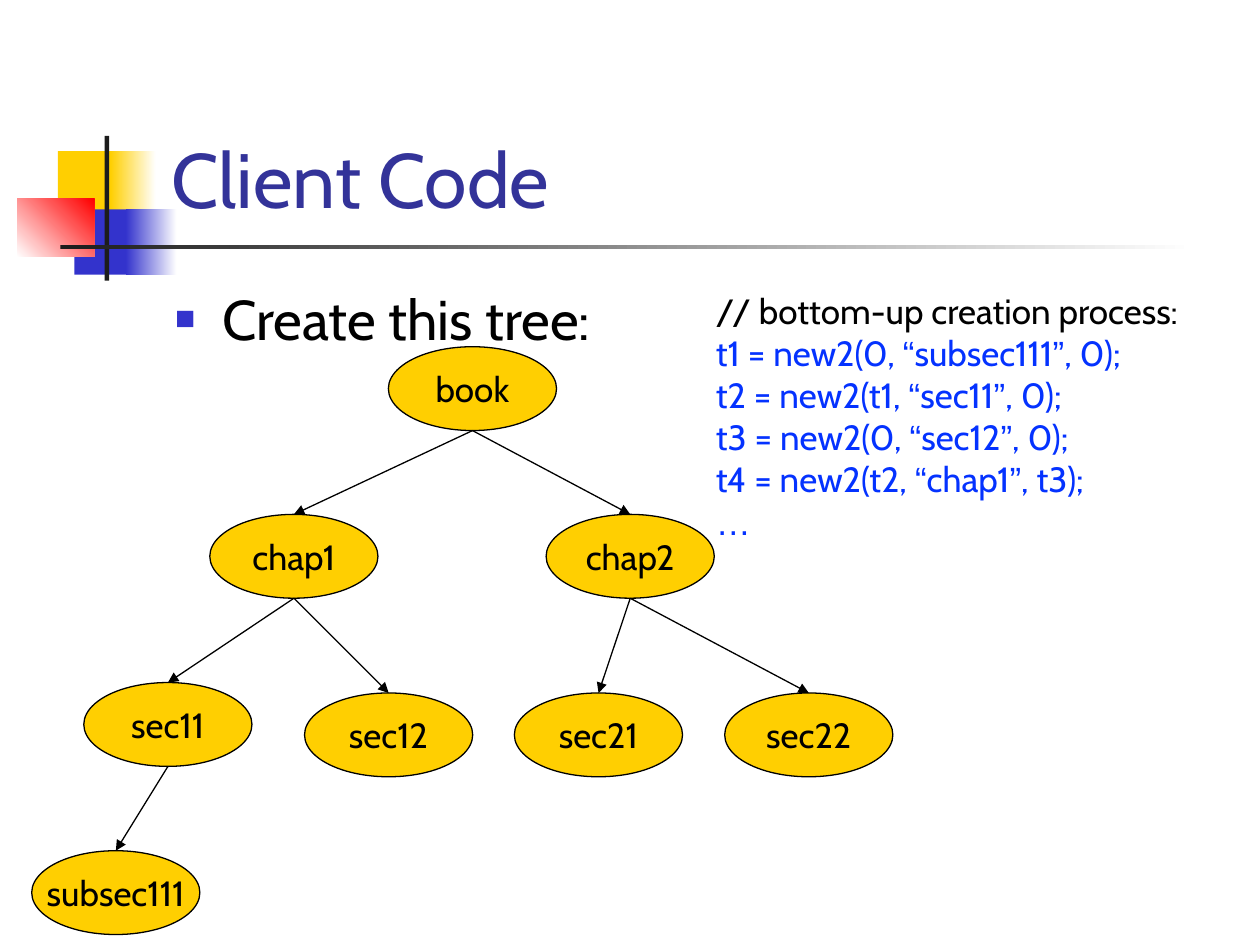
from dataclasses import dataclass
from itertools import groupby
from typing import NamedTuple

from lxml import etree
from pptx import Presentation
from pptx import util as u
from pptx.dml.color import RGBColor
from pptx.enum import shapes, text
from pptx.oxml import ns


@dataclass(frozen=True)
class Theme:
    font: str = "Cabin"
    symbol_font: str = "Arial"
    title_size: int = 44
    body_size: int = 32
    label_size: int = 20
    line_width: float = 0.75
    black: str = "000000"
    white: str = "FFFFFF"
    title: str = "333399"
    code: str = "0432FF"
    yellow: str = "FFCF01"
    blue: str = "3333CC"
    red: str = "FF0000"
    dark: str = "1C1C1C"


class Block(NamedTuple):
    left: float
    top: float
    width: float
    height: float
    color: str
    end_color: str | None = None
    angle: float = 0


class Node(NamedTuple):
    label: str
    left: float
    top: float
    parent: str | None = None


THEME = Theme()
NODE_WIDTH, NODE_HEIGHT = 3.39, 1.69

BLOCKS = [
    Block(1.17, 3.05, 1.22, 1.32, THEME.yellow),
    Block(2.23, 3.05, 0.91, 1.32, THEME.yellow, THEME.white),
    Block(1.50, 4.22, 1.17, 1.32, THEME.blue),
    Block(2.54, 4.22, 1.02, 1.32, THEME.blue, THEME.white),
    Block(0.35, 4.01, 1.55, 1.17, THEME.white, THEME.red, 45),
    Block(2.11, 2.74, 0.09, 2.92, THEME.dark),
    Block(1.22, 4.94, 22.86, 0.09, THEME.dark, THEME.white),
]

NODES = [
    Node("book", 7.83, 6.99),
    Node("chap1", 4.23, 10.37, "book"),
    Node("chap2", 11.01, 10.37, "book"),
    Node("sec11", 1.69, 13.76, "chap1"),
    Node("sec12", 6.14, 13.97, "chap1"),
    Node("sec21", 10.37, 13.97, "chap2"),
    Node("sec22", 14.61, 13.97, "chap2"),
    Node("subsec111", 0.64, 17.15, "sec11"),
]

COMMENT = "// bottom-up creation process:"
CODE_LINES = [
    "t1 = new2(0, “subsec111”, 0);",
    "t2 = new2(t1, “sec11”, 0);",
    "t3 = new2(0, “sec12”, 0);",
    "t4 = new2(t2, “chap1”, t3);",
    "…",
]


def box(left: float, top: float, width: float, height: float) -> tuple:
    return u.Cm(left), u.Cm(top), u.Cm(width), u.Cm(height)


def rgb(color: str) -> RGBColor:
    return RGBColor.from_string(color)


def set_font(font, size: int, color: str) -> None:
    font.name = THEME.font
    font.size = u.Pt(size)
    font.color.rgb = rgb(color)


def add_block(slide, block: Block) -> None:
    shape = slide.shapes.add_shape(shapes.MSO_SHAPE.RECTANGLE, *box(*block[:4]))
    shape.shadow.inherit = False
    shape.line.fill.background()
    if block.end_color is None:
        shape.fill.solid()
        shape.fill.fore_color.rgb = rgb(block.color)
        return
    shape.fill.gradient()
    shape.fill.gradient_angle = block.angle
    for stop, color in zip(shape.fill.gradient_stops, (block.color, block.end_color)):
        stop.color.rgb = rgb(color)


def add_node(slide, node: Node) -> None:
    shape = slide.shapes.add_shape(
        shapes.MSO_SHAPE.OVAL, *box(node.left, node.top, NODE_WIDTH, NODE_HEIGHT))
    shape.shadow.inherit = False
    shape.fill.solid()
    shape.fill.fore_color.rgb = rgb(THEME.yellow)
    shape.line.color.rgb = rgb(THEME.black)
    shape.line.width = u.Pt(THEME.line_width)
    frame = shape.text_frame
    frame.word_wrap = False
    frame.vertical_anchor = text.MSO_ANCHOR.MIDDLE
    paragraph = frame.paragraphs[0]
    paragraph.text = node.label
    paragraph.alignment = text.PP_ALIGN.CENTER
    set_font(paragraph.font, THEME.label_size, THEME.black)


def add_arrow(slide, parent: Node, child: Node) -> None:
    """Link the bottom of the parent to the top of the child."""
    connector = slide.shapes.add_connector(
        shapes.MSO_CONNECTOR.STRAIGHT,
        u.Cm(parent.left + NODE_WIDTH / 2), u.Cm(parent.top + NODE_HEIGHT),
        u.Cm(child.left + NODE_WIDTH / 2), u.Cm(child.top))
    connector.line.color.rgb = rgb(THEME.black)
    connector.line.width = u.Pt(THEME.line_width)
    etree.SubElement(connector.line._get_or_add_ln(), ns.qn("a:tailEnd"), type="triangle")
    etree.SubElement(connector._element.spPr, ns.qn("a:effectLst"))


def add_title(slide) -> None:
    title = slide.shapes.title
    title.left, title.top, title.width, title.height = box(3.2, 0.58, 21.64, 4.06)
    frame = title.text_frame
    frame.auto_size = text.MSO_AUTO_SIZE.NONE
    frame.vertical_anchor = text.MSO_ANCHOR.BOTTOM
    paragraph = frame.paragraphs[0]
    paragraph.text = "Client Code"
    paragraph.alignment = text.PP_ALIGN.LEFT
    set_font(paragraph.font, THEME.title_size, THEME.title)


def add_body(slide) -> None:
    frame = slide.shapes.add_textbox(*box(3.28, 5.61, 21.59, 11.43)).text_frame
    frame.word_wrap = True
    paragraph = frame.paragraphs[0]
    paragraph.text = "Create this tree:"
    properties = paragraph._p.get_or_add_pPr()
    properties.set("marL", str(u.Cm(0.95)))
    properties.set("indent", str(u.Cm(-0.95)))
    bullet_color = etree.SubElement(properties, ns.qn("a:buClr"))
    etree.SubElement(bullet_color, ns.qn("a:srgbClr"), val=THEME.blue)
    etree.SubElement(properties, ns.qn("a:buSzPct"), val="60000")
    etree.SubElement(properties, ns.qn("a:buFont"), typeface=THEME.symbol_font)
    etree.SubElement(properties, ns.qn("a:buChar"), char="■")
    set_font(paragraph.font, THEME.body_size, THEME.black)


def add_code(slide) -> None:
    frame = slide.shapes.add_textbox(*box(14.18, 5.72, 10.67, 5.38)).text_frame
    frame.word_wrap = True
    frame.auto_size = text.MSO_AUTO_SIZE.SHAPE_TO_FIT_TEXT
    comment = frame.paragraphs[0]
    comment.text = COMMENT
    set_font(comment.font, THEME.label_size, THEME.black)
    for line in CODE_LINES:
        paragraph = frame.add_paragraph()
        for is_symbol, characters in groupby(line, lambda character: character in "“”…"):
            run = paragraph.add_run()
            run.text = "".join(characters)
            set_font(run.font, THEME.label_size, THEME.code)
            if is_symbol:
                run.font.name = THEME.symbol_font


def main() -> None:
    presentation = Presentation()
    presentation.slide_width, presentation.slide_height = u.Cm(25.4), u.Cm(19.05)
    slide = presentation.slides.add_slide(presentation.slide_layouts.get_by_name("Title Only"))
    for block in BLOCKS:
        add_block(slide, block)
    add_title(slide)
    add_body(slide)
    by_label = {node.label: node for node in NODES}
    for node in NODES:
        add_node(slide, node)
        if node.parent:
            add_arrow(slide, by_label[node.parent], node)
    add_code(slide)
    presentation.save("out.pptx")


if __name__ == "__main__":
    main()
